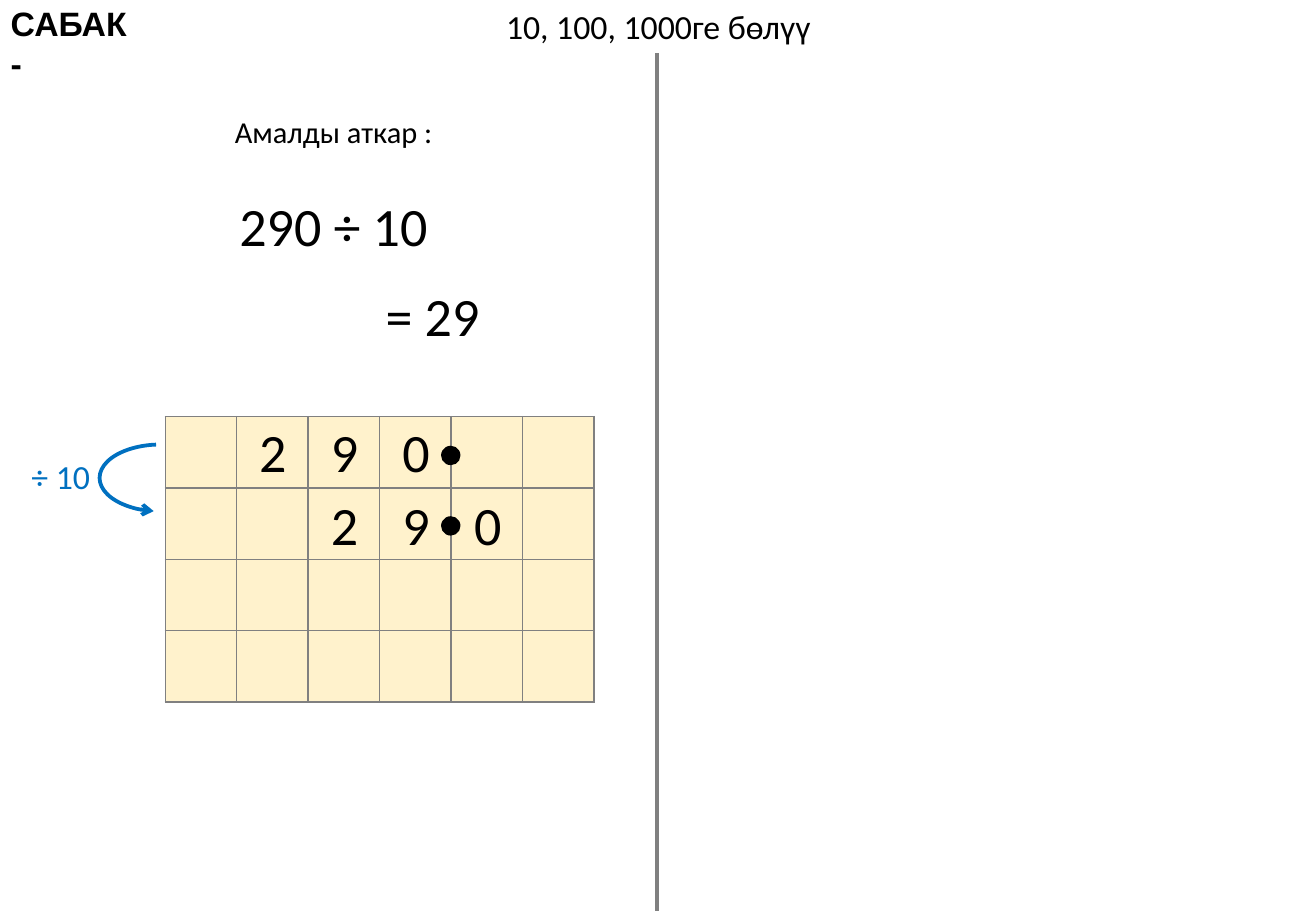
"""Builds a lesson slide on dividing by 10 with a place-value grid."""
from lxml import etree
from pptx import Presentation
from pptx.dml.color import RGBColor
from pptx.enum.shapes import MSO_CONNECTOR, MSO_SHAPE
from pptx.enum.text import MSO_AUTO_SIZE, PP_ALIGN
from pptx.oxml.ns import qn
from pptx.util import Inches, Pt

LEFT, CENTER, RIGHT = PP_ALIGN.LEFT, PP_ALIGN.CENTER, PP_ALIGN.RIGHT
BLACK = RGBColor(0x00, 0x00, 0x00)
GRAY = RGBColor(0x80, 0x80, 0x80)
BLUE = RGBColor(0x00, 0x70, 0xC0)
CREAM = RGBColor(0xFF, 0xF2, 0xCC)
GRID_LEFT, GRID_TOP, CELL = 1.36, 3.43, 0.59

presentation = Presentation()
presentation.slide_width = Inches(10.83)
presentation.slide_height = Inches(7.5)
slide = presentation.slides.add_slide(presentation.slide_layouts[6])


def add_text(text, left, top, width, height, size, align=CENTER, color=BLACK,
             font_name="Calibri", bold=False, wrap=False):
    """Adds a one-paragraph text box."""
    box = slide.shapes.add_textbox(Inches(left), Inches(top), Inches(width), Inches(height))
    frame = box.text_frame
    frame.word_wrap = wrap
    frame.auto_size = MSO_AUTO_SIZE.SHAPE_TO_FIT_TEXT
    paragraph = frame.paragraphs[0]
    paragraph.text = text
    paragraph.alignment = align
    paragraph.font.name = font_name
    paragraph.font.size = Pt(size)
    paragraph.font.bold = bold
    paragraph.font.color.rgb = color


add_text("10, 100, 1000ге бөлүү", 4.05, 0, 2.74, 0.44, 20)

divider = slide.shapes.add_connector(
    MSO_CONNECTOR.STRAIGHT, Inches(5.41), Inches(0.44), Inches(5.41), Inches(7.5))
divider.line.color.rgb = GRAY
divider.line.width = Pt(2.25)
etree.SubElement(divider.element.spPr, qn("a:effectLst"))

add_text("Амалды аткар :", 1.82, 0.88, 1.85, 0.4, 18)
add_text("САБАК -", -0.01, -0.03, 1.24, 0.44, 20, LEFT, font_name="Arial", bold=True, wrap=True)
add_text("290 ÷ 10", 1.86, 1.54, 1.77, 0.64, 32)
add_text("= 29", 3.07, 2.28, 0.98, 0.64, 32)

grid = slide.shapes.add_table(
    4, 6, Inches(GRID_LEFT), Inches(GRID_TOP), Inches(3.53), Inches(2.35)).table
grid.first_row = False
grid.horz_banding = False
for cell in grid.iter_cells():
    properties = cell._tc.get_or_add_tcPr()
    for side in ("a:lnL", "a:lnR", "a:lnT", "a:lnB"):
        border = etree.SubElement(properties, qn(side), w=str(Pt(1)))
        border_fill = etree.SubElement(border, qn("a:solidFill"))
        etree.SubElement(border_fill, qn("a:srgbClr"), val=str(GRAY))
    cell.fill.solid()
    cell.fill.fore_color.rgb = CREAM

for digits, first_column, top in (("290", 1, 3.4), ("290", 2, 4)):
    for column, digit in enumerate(digits, first_column):
        add_text(digit, GRID_LEFT + column * CELL + 0.08, top, 0.43, 0.64, 32)

arc = slide.shapes.add_shape(MSO_SHAPE.ARC, Inches(0.82), Inches(3.66), Inches(1), Inches(0.55))
arc.shadow.inherit = False
arc.adjustments[0] = 60.75
arc.adjustments[1] = 157.62
arc.fill.background()
arc.line.color.rgb = BLUE
arc.line.width = Pt(2.25)
etree.SubElement(arc.line._get_or_add_ln(), qn("a:headEnd"), type="arrow")
add_text("÷ 10", 0.15, 3.7, 0.69, 0.44, 20, RIGHT, BLUE)

for top in (3.67, 4.25):
    point = slide.shapes.add_shape(
        MSO_SHAPE.OVAL, Inches(3.63), Inches(top), Inches(0.16), Inches(0.16))
    point.shadow.inherit = False
    point.fill.solid()
    point.fill.fore_color.rgb = BLACK
    point.line.fill.background()

presentation.save("out.pptx")
